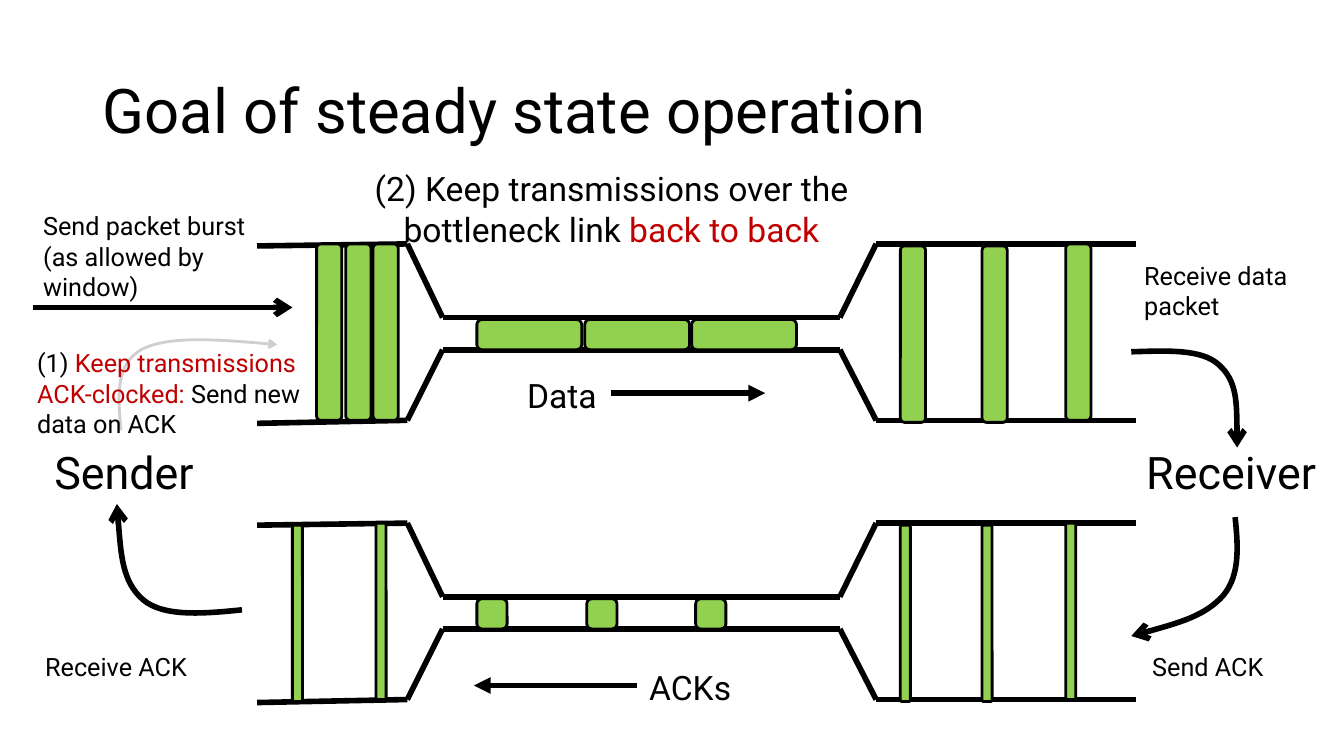
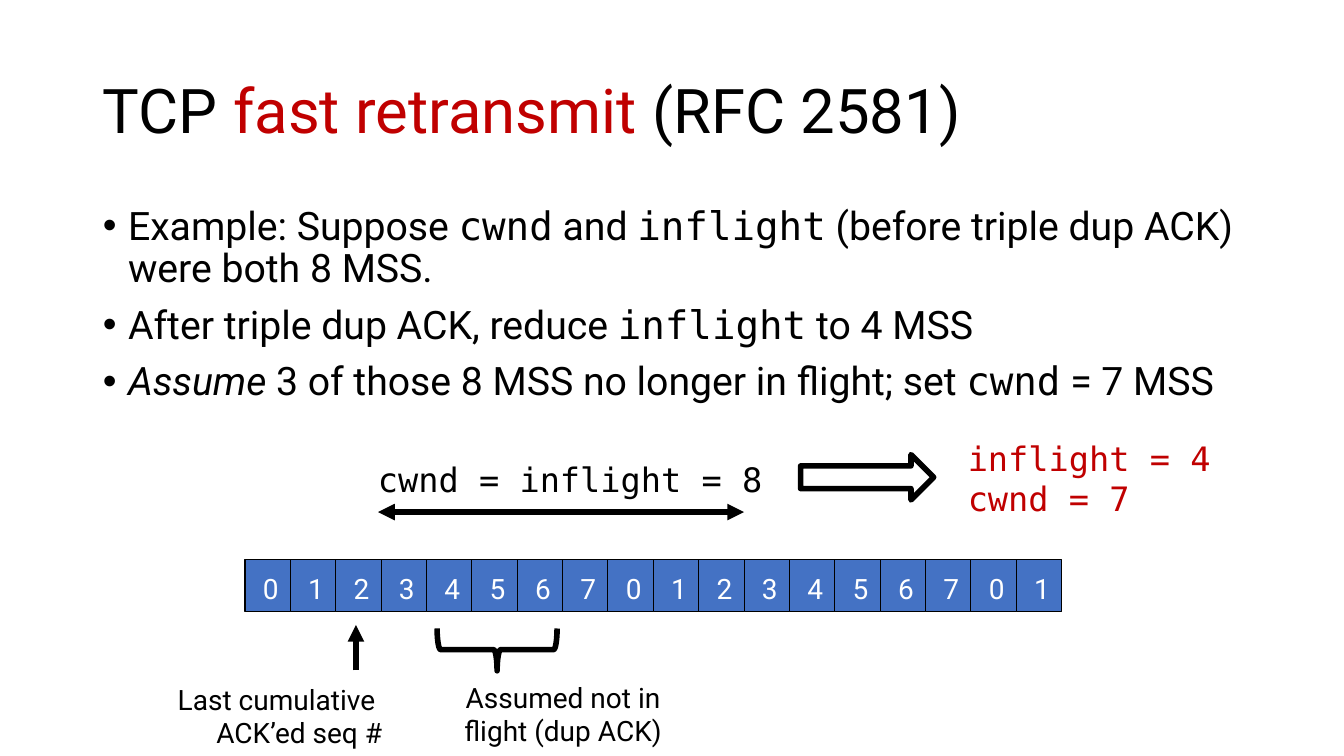
from lxml.etree import SubElement
from pptx import Presentation
from pptx.dml.color import RGBColor
from pptx.enum.shapes import MSO_CONNECTOR, MSO_SHAPE
from pptx.enum.text import MSO_ANCHOR, MSO_AUTO_SIZE, PP_ALIGN
from pptx.oxml.ns import qn
from pptx.util import Inches, Pt

# Shared style
BLACK = RGBColor(0x00, 0x00, 0x00)
WHITE = RGBColor(0xFF, 0xFF, 0xFF)
RED = RGBColor(0xC0, 0x00, 0x00)
GREEN = RGBColor(0x92, 0xD0, 0x50)
BLUE = RGBColor(0x44, 0x72, 0xC4)
GRAY = RGBColor(0xD0, 0xCE, 0xCE)
SANS, MONO = "Roboto", "DejaVu Sans Mono"
TITLE_BOX = (0.92, 0.4, 11.5, 1.45)
BODY_BOX = (0.92, 2, 11.5, 4.76)
TITLE_ONLY, TITLE_AND_CONTENT = 5, 1
LEFT, CENTER, RIGHT = PP_ALIGN.LEFT, PP_ALIGN.CENTER, PP_ALIGN.RIGHT

# Text is a list of paragraphs; a run is a string or (string, style)
RED_RUN, CODE_RUN, ITALIC_RUN = {"color": RED}, {"name": MONO}, {"italic": True}

# Slide 1: steady state operation
STEADY_TITLE = ["Goal of steady state operation"]
LANE_SHIFT = 2.77  # from the data pipe down to the ACK pipe
PIPE_LINES = [
    (4.04, 2.42, 4.39, 3.15), (4.04, 4.17, 4.39, 3.47),
    (8.69, 2.42, 8.33, 3.15), (8.69, 4.17, 8.33, 3.47),
    (4.39, 3.15, 8.33, 3.15), (4.39, 3.47, 8.33, 3.47),
    (8.69, 2.42, 11.27, 2.42), (8.69, 4.17, 11.27, 4.17),
    (2.55, 4.2, 4.04, 4.17), (2.55, 2.44, 4.04, 2.42),
]
ARRIVALS = [(8.93, 2.44), (9.74, 2.44), (10.57, 2.42)]
# Packets per lane: width, height, corners measured in the data lane
DATA_PACKETS = [
    (0.25, 1.75, [(3.14, 2.42), (3.43, 2.42), (3.7, 2.42)]),
    (1.04, 0.3, [(4.73, 3.17), (5.8, 3.17), (6.86, 3.17)]),
    (0.25, 1.75, ARRIVALS),
]
ACK_PACKETS = [
    (0.1, 1.75, [(2.9, 2.44), (3.73, 2.42)]),
    (0.3, 0.3, [(4.73, 3.17), (5.82, 3.17), (6.9, 3.17)]),
    (0.1, 1.75, ARRIVALS),
]
STEADY_ARROWS = [
    ((0.33, 3.05, 2.9, 3.05), "arrow"),
    ((6.06, 3.9, 7.59, 3.9), "triangle"),
    ((6.32, 6.8, 4.7, 6.8), "triangle"),
]
# Start point, then control, control, end for each Bezier piece
CURVES = [
    ([(11.22, 3.49), (11.57, 3.48), (11.92, 3.46), (12.09, 3.62),
      (12.27, 3.78), (12.27, 4.11), (12.27, 4.44)], BLACK, 4),
    ([(12.25, 5.13), (12.28, 5.42), (12.3, 5.71), (12.13, 5.91),
      (11.95, 6.11), (11.59, 6.21), (11.22, 6.31)], BLACK, 4),
    ([(2.4, 6.05), (2.01, 6.09), (1.62, 6.12), (1.42, 5.95),
      (1.21, 5.77), (1.19, 5.38), (1.16, 5)], BLACK, 4),
    ([(1.2, 4.27), (1.17, 3.94), (1.14, 3.62), (1.4, 3.47),
      (1.66, 3.33), (2.2, 3.37), (2.75, 3.42)], GRAY, 2),
]
# Box, size, alignment, paragraphs
STEADY_LABELS = [
    ((0.44, 4.36, 1.85, 0.64), 32, LEFT, [["Sender"]]),
    ((11.27, 4.36, 2.01, 0.64), 32, LEFT, [["Receiver"]]),
    ((0.33, 2.04, 2.21, 1.01), 18, LEFT,
     [["Send packet burst (as allowed by window)"]]),
    ((11.25, 2.53, 1.96, 0.71), 18, LEFT, [["Receive data packet"]]),
    ((11.33, 6.41, 1.96, 0.4), 18, LEFT, [["Send ACK"]]),
    ((0.35, 6.41, 1.96, 0.4), 18, LEFT, [["Receive ACK"]]),
    ((5.13, 3.67, 2.84, 0.5), 24, LEFT, [["Data"]]),
    ((6.34, 6.57, 1.12, 0.5), 24, LEFT, [["ACKs"]]),
    ((0.27, 3.4, 3, 1.01), 18, LEFT,
     [["(1) ", ("Keep transmissions ACK-clocked: ", RED_RUN),
       "Send new data on ACK"]]),
    ((3.48, 1.62, 5.17, 0.91), 24, CENTER,
     [["(2) Keep transmissions over the bottleneck link ",
       ("back to back", RED_RUN)]]),
]

# Slide 2: fast retransmit
RETRANSMIT_TITLE = ["TCP ", ("fast retransmit", RED_RUN), " (RFC 2581)"]
BULLETS = [
    ["Example: Suppose ", ("cwnd", CODE_RUN), " and ", ("inflight", CODE_RUN),
     " (before triple dup ACK) were both 8 MSS."],
    ["After triple dup ACK, reduce ", ("inflight", CODE_RUN), " to 4 MSS"],
    [("Assume", ITALIC_RUN), " 3 of those 8 MSS no longer in flight; set ",
     ("cwnd", CODE_RUN), " = 7 MSS"],
]
SEQUENCE = "012345670123456701"
SEQUENCE_LEFT, SEQUENCE_TOP = 2.43, 5.55
CELL_WIDTH, CELL_HEIGHT = 0.45, 0.52
NOTES = [
    ((1.41, 6.72, 2.48, 0.77), 20, RIGHT,
     [["Last cumulative "], ["ACK’ed seq #"]]),
    ((4.37, 6.7, 2.43, 0.77), 20, CENTER, [["Assumed not in flight (dup ACK)"]]),
]
CODE_NOTES = [
    ((3.65, 4.5, 4.49, 0.5), BLACK, [["cwnd = inflight = 8"]]),
    ((9.5, 4.29, 2.69, 0.91), RED, [["inflight = 4"], ["cwnd = 7"]]),
]


def box_inches(box):
    return [Inches(value) for value in box]


def write_paragraph(paragraph, runs, size, color=BLACK, name=SANS, align=LEFT):
    paragraph.alignment = align
    font = paragraph.font
    font.size, font.name = Pt(size), name
    font.color.rgb = color
    for item in runs:
        text, style = (item, {}) if isinstance(item, str) else item
        run = paragraph.add_run()
        run.text = text
        if "color" in style:
            run.font.color.rgb = style["color"]
        if "name" in style:
            run.font.name = style["name"]
        if "italic" in style:
            run.font.italic = True


def paragraphs_for(frame, count):
    for _ in range(count - 1):
        frame.add_paragraph()
    return frame.paragraphs


def add_label(slide, box, size, align, texts, color=BLACK, name=SANS):
    frame = slide.shapes.add_textbox(*box_inches(box)).text_frame
    frame.word_wrap = True
    for paragraph, runs in zip(paragraphs_for(frame, len(texts)), texts):
        write_paragraph(paragraph, runs, size, color, name, align)


def add_arrowhead(line, end, kind):
    # Setting the line colour first puts the fill ahead of the arrowhead
    SubElement(line._get_or_add_ln(), qn(f"a:{end}End"), type=kind)


def add_line(slide, ends, head=None, tail=None):
    connector = slide.shapes.add_connector(MSO_CONNECTOR.STRAIGHT, *box_inches(ends))
    connector.line.color.rgb = BLACK
    connector.line.width = Pt(4)
    for end, kind in (("head", head), ("tail", tail)):
        if kind:
            add_arrowhead(connector.line, end, kind)
    SubElement(connector._element.spPr, qn("a:effectLst"))


def style_shape(shape, fill, line_color, width):
    shape.shadow.inherit = False
    if fill is None:
        shape.fill.background()
    else:
        shape.fill.solid()
        shape.fill.fore_color.rgb = fill
    shape.line.color.rgb = line_color
    shape.line.width = Pt(width)


def add_box(slide, kind, box, fill, width):
    shape = slide.shapes.add_shape(kind, *box_inches(box))
    style_shape(shape, fill, BLACK, width)
    return shape


def add_curve(slide, points, color, width):
    start, *rest = [tuple(box_inches(point)) for point in points]
    builder = slide.shapes.build_freeform(*start)
    builder.add_line_segments(rest, close=False)
    shape = builder.convert_to_shape()
    # Turn each three line segments into one Bezier piece
    outline = next(shape._element.iter(qn("a:path")))
    segments = outline.findall(qn("a:lnTo"))
    for first in range(0, len(segments), 3):
        bezier = SubElement(outline, qn("a:cubicBezTo"))
        for segment in segments[first:first + 3]:
            bezier.append(segment[0])
            outline.remove(segment)
    style_shape(shape, None, color, width)
    add_arrowhead(shape.line, "tail", "arrow")


def place(placeholder, box):
    placeholder.left, placeholder.top, placeholder.width, placeholder.height = box_inches(box)
    frame = placeholder.text_frame
    frame.auto_size = MSO_AUTO_SIZE.NONE
    return frame


def add_titled_slide(presentation, layout, runs):
    slide = presentation.slides.add_slide(presentation.slide_layouts[layout])
    frame = place(slide.shapes.title, TITLE_BOX)
    frame.vertical_anchor = MSO_ANCHOR.MIDDLE
    frame.paragraphs[0].line_spacing = 0.9
    write_paragraph(frame.paragraphs[0], runs, 44)
    return slide


def build_steady_state(presentation):
    slide = add_titled_slide(presentation, TITLE_ONLY, STEADY_TITLE)
    # Both lanes share one pipe outline
    for shift, packets in ((0, DATA_PACKETS), (LANE_SHIFT, ACK_PACKETS)):
        for x1, y1, x2, y2 in PIPE_LINES:
            add_line(slide, (x1, y1 + shift, x2, y2 + shift))
        for width, height, corners in packets:
            for left, top in corners:
                add_box(slide, MSO_SHAPE.ROUNDED_RECTANGLE,
                        (left, top + shift, width, height), GREEN, 2)
    for ends, kind in STEADY_ARROWS:
        add_line(slide, ends, tail=kind)
    for curve in CURVES:
        add_curve(slide, *curve)
    for label in STEADY_LABELS:
        add_label(slide, *label)


def build_fast_retransmit(presentation):
    slide = add_titled_slide(presentation, TITLE_AND_CONTENT, RETRANSMIT_TITLE)
    # Bullets
    frame = place(slide.placeholders[1], BODY_BOX)
    for index, paragraph in enumerate(paragraphs_for(frame, len(BULLETS))):
        properties = paragraph._p.get_or_add_pPr()
        properties.set("marL", str(Inches(0.25)))
        properties.set("indent", str(-Inches(0.25)))
        SubElement(properties, qn("a:buFont"), typeface="Arial")
        SubElement(properties, qn("a:buChar"), char="•")
        paragraph.line_spacing = 0.9
        paragraph.space_before = Pt(10 if index else 0)
        write_paragraph(paragraph, BULLETS[index], 28)
    # Sequence numbers
    for index, digit in enumerate(SEQUENCE):
        left = SEQUENCE_LEFT + index * CELL_WIDTH
        cell = add_box(slide, MSO_SHAPE.RECTANGLE,
                       (left, SEQUENCE_TOP, CELL_WIDTH, CELL_HEIGHT), BLUE, 0.75)
        frame = cell.text_frame
        frame.margin_left, frame.margin_right = Inches(0.06), 0
        frame.margin_top, frame.margin_bottom = Inches(0.06), 0
        frame.vertical_anchor = MSO_ANCHOR.MIDDLE
        write_paragraph(frame.paragraphs[0], [digit], 20, WHITE, align=CENTER)
    # Window span, pointer, brace and result arrow
    add_line(slide, (3.75, 5.08, 7.38, 5.08), head="triangle", tail="triangle")
    add_line(slide, (3.53, 6.65, 3.53, 6.2), tail="triangle")
    brace = add_box(slide, MSO_SHAPE.RIGHT_BRACE, (4.72, 5.85, 0.42, 1.19), None, 4)
    brace.rotation = 90
    add_box(slide, MSO_SHAPE.RIGHT_ARROW, (7.94, 4.51, 1.32, 0.45), None, 4)
    for note in NOTES:
        add_label(slide, *note)
    for box, color, texts in CODE_NOTES:
        add_label(slide, box, 24, LEFT, texts, color, MONO)


def main():
    presentation = Presentation()
    presentation.slide_width, presentation.slide_height = Inches(13.33), Inches(7.5)
    build_steady_state(presentation)
    build_fast_retransmit(presentation)
    presentation.save("out.pptx")


if __name__ == "__main__":
    main()
